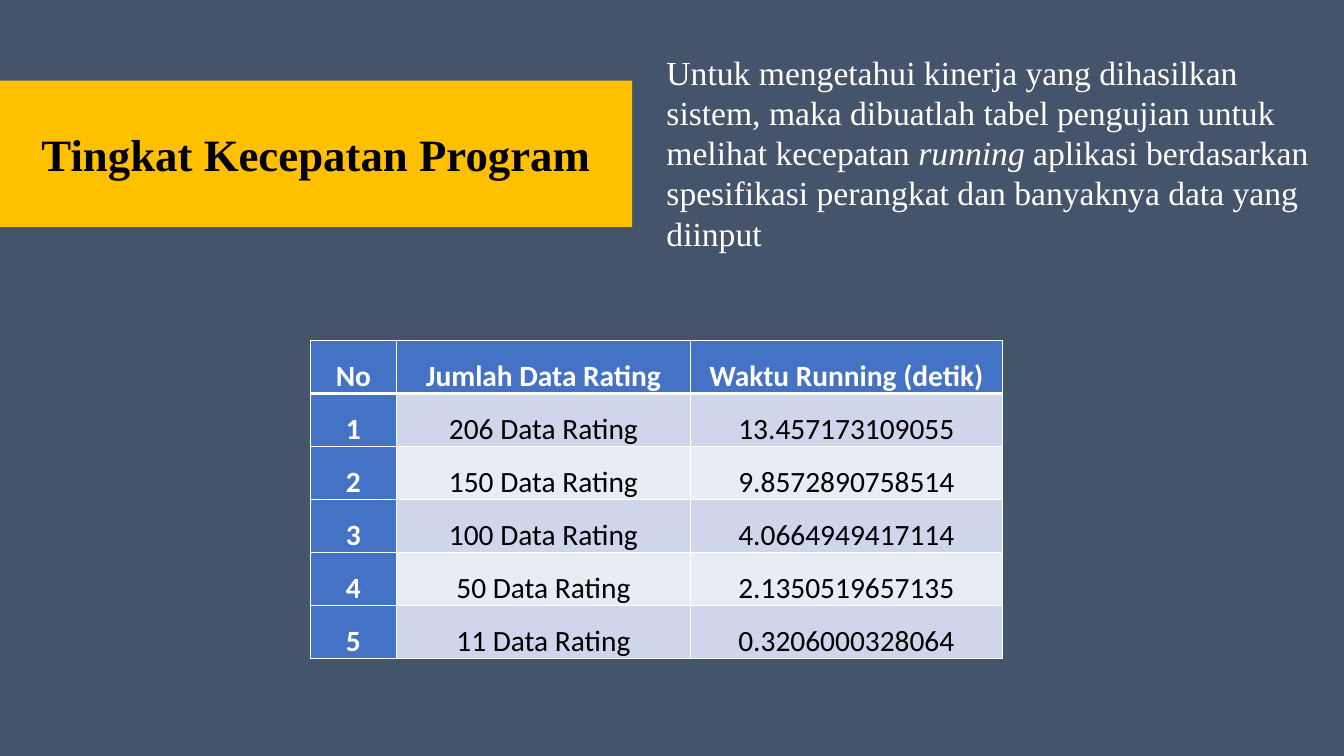
from dataclasses import dataclass

from lxml import etree
from pptx import Presentation
from pptx import util as u
from pptx.dml.color import RGBColor
from pptx.enum import text
from pptx.oxml import ns


@dataclass(frozen=True)
class Theme:
    serif: str = "Times New Roman"
    sans: str = "Calibri"
    slate: str = "44546A"
    gold: str = "FFC000"
    blue: str = "4472C4"
    bands: tuple = ("CFD5EA", "E9EBF5")
    light: str = "FFFFFF"
    dark: str = "000000"
    title_size: int = 32
    body_size: int = 24
    table_size: int = 21


def px(count):
    return u.Emu(count * 9144)


def apply(target, values):
    for name, value in values.items():
        setattr(target, name, value)


def paint(fill, color):
    fill.solid()
    fill.fore_color.rgb = RGBColor.from_string(color)


class SlideBuilder:
    def __init__(self, deck, theme):
        self.theme = theme
        self.page = deck.slides.add_slide(deck.slide_layouts[1])
        paint(self.page.background.fill, theme.slate)

    def add_span(self, para, words, color, **font):
        span = para.add_run()
        span.text = words
        apply(span.font, font)
        span.font.color.rgb = RGBColor.from_string(color)

    def place(self, box, left, top, width, height):
        apply(box, {"left": px(left), "top": px(top),
                    "width": px(width), "height": px(height)})

    def title(self, words, *area):
        box = self.page.shapes.title
        self.place(box, *area)
        paint(box.fill, self.theme.gold)
        apply(box.text_frame, {"word_wrap": True,
                               "auto_size": text.MSO_AUTO_SIZE.NONE,
                               "vertical_anchor": text.MSO_ANCHOR.MIDDLE})
        para = box.text_frame.paragraphs[0]
        para.alignment = text.PP_ALIGN.CENTER
        self.add_span(para, words, self.theme.dark, name=self.theme.serif,
                      size=u.Pt(self.theme.title_size), bold=True)

    def body(self, pieces, *area):
        box = self.page.placeholders[1]
        self.place(box, *area)
        apply(box.text_frame, {"word_wrap": True,
                               "auto_size": text.MSO_AUTO_SIZE.SHAPE_TO_FIT_TEXT,
                               "vertical_anchor": text.MSO_ANCHOR.TOP})
        para = box.text_frame.paragraphs[0]
        apply(para, {"alignment": text.PP_ALIGN.LEFT, "space_before": u.Pt(0)})
        layout = para._p.get_or_add_pPr()
        layout.set("marL", "0")
        layout.set("indent", "0")
        etree.SubElement(layout, ns.qn("a:buNone"))
        for words, italic in pieces:
            self.add_span(para, words, self.theme.light, name=self.theme.serif,
                          size=u.Pt(self.theme.body_size), italic=italic)

    def table(self, rows, widths, row_height, left, top):
        frame = self.page.shapes.add_table(
            len(rows), len(widths), px(left), px(top),
            px(sum(widths)), px(row_height * len(rows)))
        grid = frame.table
        grid.first_col = True
        for column, width in zip(grid.columns, widths):
            column.width = px(width)
        for r, row in enumerate(rows):
            for c, words in enumerate(row):
                self.cell(grid.cell(r, c), words, r, c)

    def cell(self, cell, words, r, c):
        heading = r == 0 or c == 0
        apply(cell, {"margin_left": px(13), "margin_right": px(13),
                     "margin_top": 0, "margin_bottom": 0,
                     "vertical_anchor": text.MSO_ANCHOR.MIDDLE})
        para = cell.text_frame.paragraphs[0]
        apply(para, {"alignment": text.PP_ALIGN.CENTER, "line_spacing": 1.5,
                     "space_after": u.Pt(8)})
        self.add_span(para, words, self.theme.light if heading else self.theme.dark,
                      name=self.theme.sans, size=u.Pt(self.theme.table_size),
                      bold=heading)
        self.borders(cell, {"L": 1, "R": 1, "T": 3 if r == 1 else 1,
                            "B": 3 if r == 0 else 1})
        paint(cell.fill, self.theme.blue if heading else self.theme.bands[(r - 1) % 2])

    def borders(self, cell, weights):
        props = cell._tc.get_or_add_tcPr()
        for side, weight in weights.items():
            line = etree.SubElement(props, ns.qn(f"a:ln{side}"), w=str(u.Pt(weight)))
            fill = etree.SubElement(line, ns.qn("a:solidFill"))
            etree.SubElement(fill, ns.qn("a:srgbClr"), val=self.theme.light)


def main():
    deck = Presentation()
    apply(deck, {"slide_width": px(1333), "slide_height": px(750)})
    slide = SlideBuilder(deck, Theme())
    slide.body([
        ("Untuk mengetahui kinerja yang dihasilkan sistem, maka dibuatlah tabel "
         "pengujian untuk melihat kecepatan ", False),
        ("running ", True),
        ("aplikasi berdasarkan spesifikasi perangkat dan banyaknya data yang "
         "diinput", False),
    ], 651, 46, 658, 212)
    slide.title("Tingkat Kecepatan Program", 0, 80, 627, 145)
    timings = [(206, "13.457173109055"), (150, "9.8572890758514"),
               (100, "4.0664949417114"), (50, "2.1350519657135"),
               (11, "0.3206000328064")]
    rows = [("No", "Jumlah Data Rating", "Waktu Running (detik)")]
    rows += [(str(number), f"{count} Data Rating", seconds)
             for number, (count, seconds) in enumerate(timings, 1)]
    slide.table(rows, (85, 292, 309), 47, 308, 338)
    deck.save("out.pptx")


if __name__ == "__main__":
    main()
